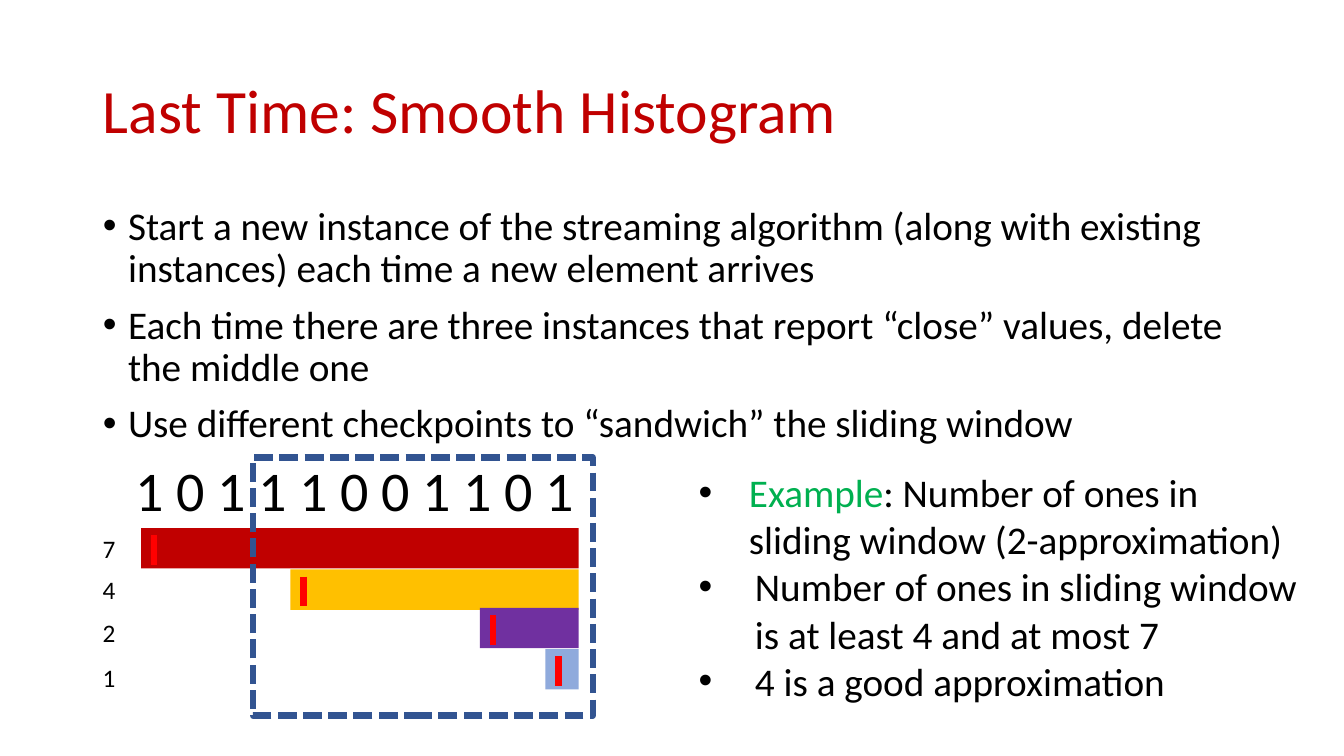
"""Build the slide that recaps the smooth histogram with its sliding window example."""
from dataclasses import dataclass

from lxml import etree
from pptx import Presentation, util as u
from pptx.dml.color import RGBColor
from pptx.enum import dml, shapes, text
from pptx.oxml.ns import qn

BLACK, CRIMSON, GREEN = "000000", "C00000", "00B050"
BARS_RIGHT, BAR_HEIGHT = 5.74, 0.4
TICK_INSET, TICK_MARGIN = 0.13, 0.07


@dataclass
class Instance:
    """One running copy of the algorithm: its count, bar and label position."""
    count: str
    left: float
    top: float
    label_top: float
    color: str


INSTANCES = [
    Instance("7", 1.4, 5.24, 5.24, CRIMSON),
    Instance("4", 2.88, 5.65, 5.65, "FFC000"),
    Instance("2", 4.76, 6.03, 6.08, "7030A0"),
    Instance("1", 5.41, 6.44, 6.52, "8FAADC"),
]
STEPS = [
    "Start a new instance of the streaming algorithm (along with existing instances) "
    "each time a new element arrives",
    "Each time there are three instances that report “close” values, delete the middle one",
    "Use different checkpoints to “sandwich” the sliding window",
]
EXAMPLE = [
    ("Example", ": Number of ones in sliding window (2-approximation)"),
    ("Number of ones in sliding window is at least 4 and at most 7",),
    ("4 is a good approximation",),
]


def rgb(color: str) -> RGBColor:
    """Turn a hex string into a colour."""
    return RGBColor.from_string(color)


def place(shape, left: float, top: float, width: float, height: float) -> None:
    """Move and size a shape, in inches."""
    shape.left, shape.top = u.Inches(left), u.Inches(top)
    shape.width, shape.height = u.Inches(width), u.Inches(height)


def style(run, size: float, color: str = BLACK) -> None:
    """Format one run."""
    run.font.name, run.font.size = "Calibri", u.Pt(size)
    run.font.color.rgb = rgb(color)


def add_bullet(paragraph, indent: float) -> None:
    """Give a paragraph a black round bullet with a hanging indent."""
    props = paragraph._p.get_or_add_pPr()
    props.set("marL", str(u.Inches(indent)))
    props.set("indent", str(u.Inches(-indent)))
    bullet_color = etree.SubElement(props, qn("a:buClr"))
    etree.SubElement(bullet_color, qn("a:srgbClr"), val=BLACK)
    etree.SubElement(props, qn("a:buFont"), typeface="Arial")
    etree.SubElement(props, qn("a:buChar"), char="•")


def add_label(slide, words: str, left: float, top: float, width: float,
              height: float, size: float) -> None:
    """Add a one-line text box."""
    label = slide.shapes.add_textbox(0, 0, 0, 0)
    place(label, left, top, width, height)
    label.text_frame.word_wrap = False
    label.text_frame.text = words
    style(label.text_frame.paragraphs[0].runs[0], size)


def add_rectangle(slide, left: float, top: float, width: float, height: float):
    """Add a rectangle without a shadow."""
    rectangle = slide.shapes.add_shape(shapes.MSO_SHAPE.RECTANGLE, 0, 0, 0, 0)
    place(rectangle, left, top, width, height)
    rectangle.shadow.inherit = False
    return rectangle


def add_instance(slide, instance: Instance) -> None:
    """Draw the bar, the red tick and the count of an instance."""
    bar = add_rectangle(slide, instance.left, instance.top,
                        BARS_RIGHT - instance.left, BAR_HEIGHT)
    bar.fill.solid()
    bar.fill.fore_color.rgb = rgb(instance.color)
    bar.line.fill.background()
    tick_x = u.Inches(instance.left + TICK_INSET)
    tick = slide.shapes.add_connector(
        shapes.MSO_CONNECTOR.STRAIGHT,
        tick_x, u.Inches(instance.top + TICK_MARGIN),
        tick_x, u.Inches(instance.top + BAR_HEIGHT - TICK_MARGIN / 2))
    tick.line.color.rgb = rgb("FF0000")
    tick.line.width = u.Pt(4.5)
    etree.SubElement(tick._element.spPr, qn("a:effectLst"))
    add_label(slide, instance.count, 0.92, instance.label_top, 0.33, 0.4, 18)


def fill_title(title) -> None:
    """Write the heading."""
    place(title, 0.92, 0.4, 11.5, 1.45)
    frame = title.text_frame
    frame.text = "Last Time: Smooth Histogram"
    frame.auto_size = text.MSO_AUTO_SIZE.NONE
    frame.vertical_anchor = text.MSO_ANCHOR.MIDDLE
    heading = frame.paragraphs[0]
    heading.alignment, heading.line_spacing = text.PP_ALIGN.LEFT, 0.9
    style(heading.runs[0], 44, CRIMSON)


def fill_steps(body) -> None:
    """Write the steps of the algorithm."""
    place(body, 0.92, 2, 11.5, 2.86)
    frame = body.text_frame
    frame.text = "\n".join(STEPS)
    frame.auto_size = text.MSO_AUTO_SIZE.NONE
    for index, step in enumerate(frame.paragraphs):
        add_bullet(step, 0.25)
        step.line_spacing = 0.9
        step.space_before = u.Pt(10 if index else 0)
        style(step.runs[0], 28)


def add_example(slide) -> None:
    """Write the example beside the bars."""
    example = slide.shapes.add_textbox(0, 0, 0, 0)
    place(example, 6.83, 4.6, 6.16, 2.46)
    frame = example.text_frame
    frame.word_wrap = True
    for index, pieces in enumerate(EXAMPLE):
        point = frame.add_paragraph() if index else frame.paragraphs[0]
        add_bullet(point, 0.56 if index else 0.5)
        for piece in pieces:
            run = point.add_run()
            run.text = piece
            style(run, 28, GREEN if piece == "Example" else BLACK)


def main() -> None:
    """Build and save the slide."""
    deck = Presentation()
    deck.slide_width, deck.slide_height = u.Inches(13.33), u.Inches(7.5)
    slide = deck.slides.add_slide(deck.slide_layouts[1])
    fill_title(slide.shapes.title)
    fill_steps(slide.placeholders[1])
    add_label(slide, "1 0 1 1 1 0 0 1 1 0 1", 1.25, 4.47, 4.59, 0.77, 40)
    for instance in INSTANCES:
        add_instance(slide, instance)
    add_example(slide)
    window = add_rectangle(slide, 2.51, 4.54, 3.37, 2.56)
    window.fill.background()
    window.line.color.rgb = rgb("325491")
    window.line.width = u.Pt(4.5)
    window.line.dash_style = dml.MSO_LINE.SQUARE_DOT
    deck.save("out.pptx")


if __name__ == "__main__":
    main()
